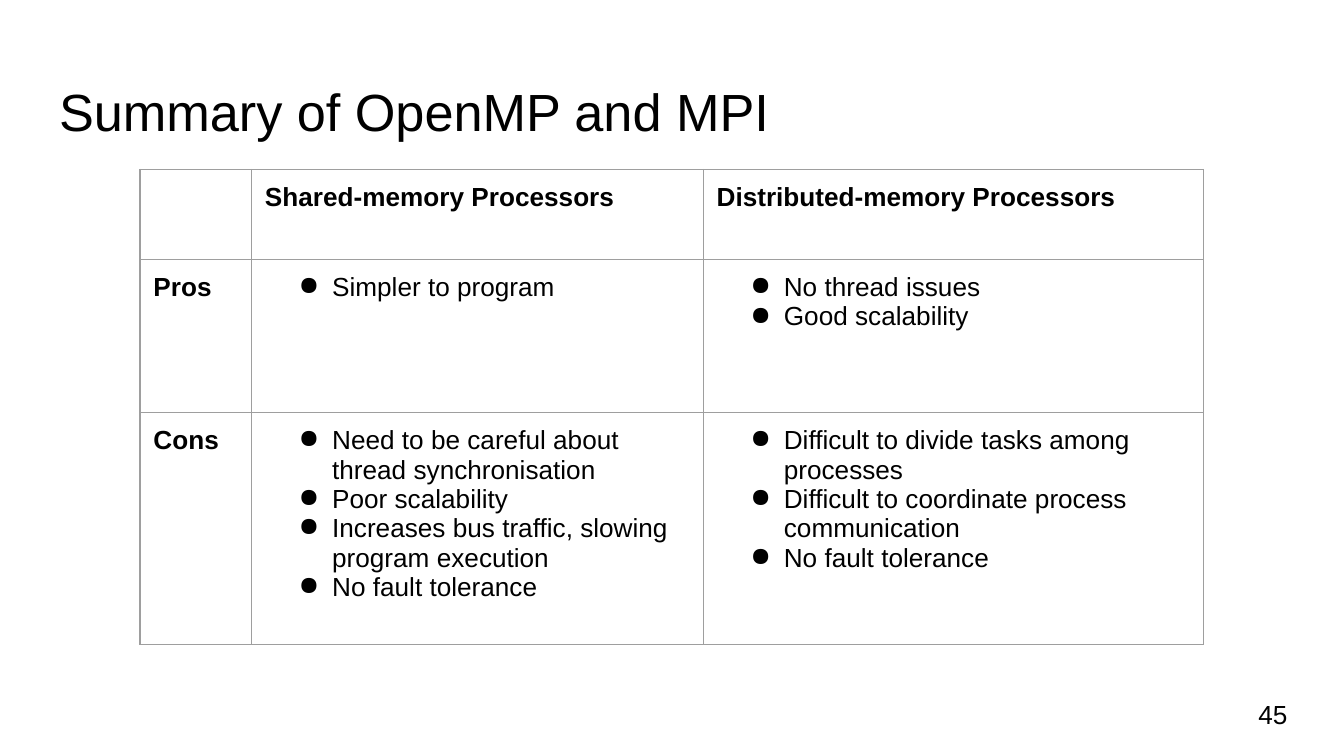
import pptx
import pptx.dml.color
import pptx.enum.text
import pptx.oxml.ns
import pptx.util
import lxml.etree

Pt = pptx.util.Pt
COLORS = {"text": "000000", "border": "9E9E9E"}
COLUMN_WIDTHS = [59.75, 242, 268]
ROW_HEIGHTS = [48.25, 82, 124.5]
ROWS = [
    ["", "Shared-memory Processors", "Distributed-memory Processors"],
    ["Pros", ["Simpler to program"], ["No thread issues", "Good scalability"]],
    [
        "Cons",
        [
            "Need to be careful about thread synchronisation",
            "Poor scalability",
            "Increases bus traffic, slowing program execution",
            "No fault tolerance",
        ],
        [
            "Difficult to divide tasks among processes",
            "Difficult to coordinate process communication",
            "No fault tolerance",
        ],
    ],
]


class SlideBuilder:
    """Holds the style and the current slide, and adds each kind of element."""

    font_name = "Arial"
    inset = Pt(7.2)

    def __init__(self, slide):
        self.slide = slide

    def add_run(self, paragraph, text, size, bold=False):
        run = paragraph.add_run()
        run.text = text
        run.font.name = self.font_name
        run.font.size = Pt(size)
        run.font.bold = bold
        run.font.color.rgb = pptx.dml.color.RGBColor.from_string(COLORS["text"])

    def set_margins(self, target):
        for side in ("left", "top", "right", "bottom"):
            setattr(target, f"margin_{side}", self.inset)

    def write_line(self, shape, text, size, anchor):
        frame = shape.text_frame
        frame.word_wrap = True
        frame.auto_size = pptx.enum.text.MSO_AUTO_SIZE.NONE
        frame.vertical_anchor = anchor
        self.set_margins(frame)
        paragraph = frame.paragraphs[0]
        paragraph.alignment = pptx.enum.text.PP_ALIGN.LEFT
        self.add_run(paragraph, text, size)

    def add_title(self, text, left, top, width, height):
        title = self.slide.shapes.title
        title.left, title.top, title.width, title.height = map(Pt, (left, top, width, height))
        self.write_line(title, text, 28, pptx.enum.text.MSO_ANCHOR.TOP)

    def add_page_number(self, text, left, top, width, height):
        box = self.slide.shapes.add_textbox(*map(Pt, (left, top, width, height)))
        self.write_line(box, text, 14, pptx.enum.text.MSO_ANCHOR.MIDDLE)

    def add_bullet(self, paragraph):
        properties = paragraph._p.get_or_add_pPr()
        properties.set("marL", str(Pt(36)))
        properties.set("indent", str(Pt(-18)))
        bullet = lxml.etree.SubElement(properties, pptx.oxml.ns.qn("a:buChar"))
        bullet.set("char", "●")

    def add_borders(self, cell):
        properties = cell._tc.get_or_add_tcPr()
        for side in ("lnL", "lnR", "lnT", "lnB"):
            line = lxml.etree.SubElement(properties, pptx.oxml.ns.qn(f"a:{side}"), w=str(Pt(0.75)))
            fill = lxml.etree.SubElement(line, pptx.oxml.ns.qn("a:solidFill"))
            lxml.etree.SubElement(fill, pptx.oxml.ns.qn("a:srgbClr"), val=COLORS["border"])

    def fill_cell(self, cell, content):
        self.set_margins(cell)
        self.add_borders(cell)
        cell.fill.background()
        if isinstance(content, str):
            if content:
                self.add_run(cell.text_frame.paragraphs[0], content, 14, bold=True)
            return
        for index, text in enumerate(content):
            frame = cell.text_frame
            paragraph = frame.add_paragraph() if index else frame.paragraphs[0]
            self.add_bullet(paragraph)
            self.add_run(paragraph, text, 14)

    def add_table(self, rows, left, top, widths, heights):
        table = self.slide.shapes.add_table(
            len(heights), len(widths), Pt(left), Pt(top), Pt(sum(widths)), Pt(sum(heights))
        ).table
        table.first_row = False
        table.horz_banding = False
        for column, width in zip(table.columns, widths):
            column.width = Pt(width)
        for row, height, contents in zip(table.rows, heights, rows):
            row.height = Pt(height)
            for cell, content in zip(row.cells, contents):
                self.fill_cell(cell, content)


def main():
    presentation = pptx.Presentation()
    presentation.slide_width = Pt(720)
    presentation.slide_height = Pt(405)
    slide = presentation.slides.add_slide(presentation.slide_layouts[5])
    builder = SlideBuilder(slide)
    builder.add_title("Summary of OpenMP and MPI", 24.5, 35, 671, 45)
    builder.add_table(ROWS, 75, 90.75, COLUMN_WIDTHS, ROW_HEIGHTS)
    builder.add_page_number("45", 667, 367, 43, 31)
    presentation.save("out.pptx")


if __name__ == "__main__":
    main()
